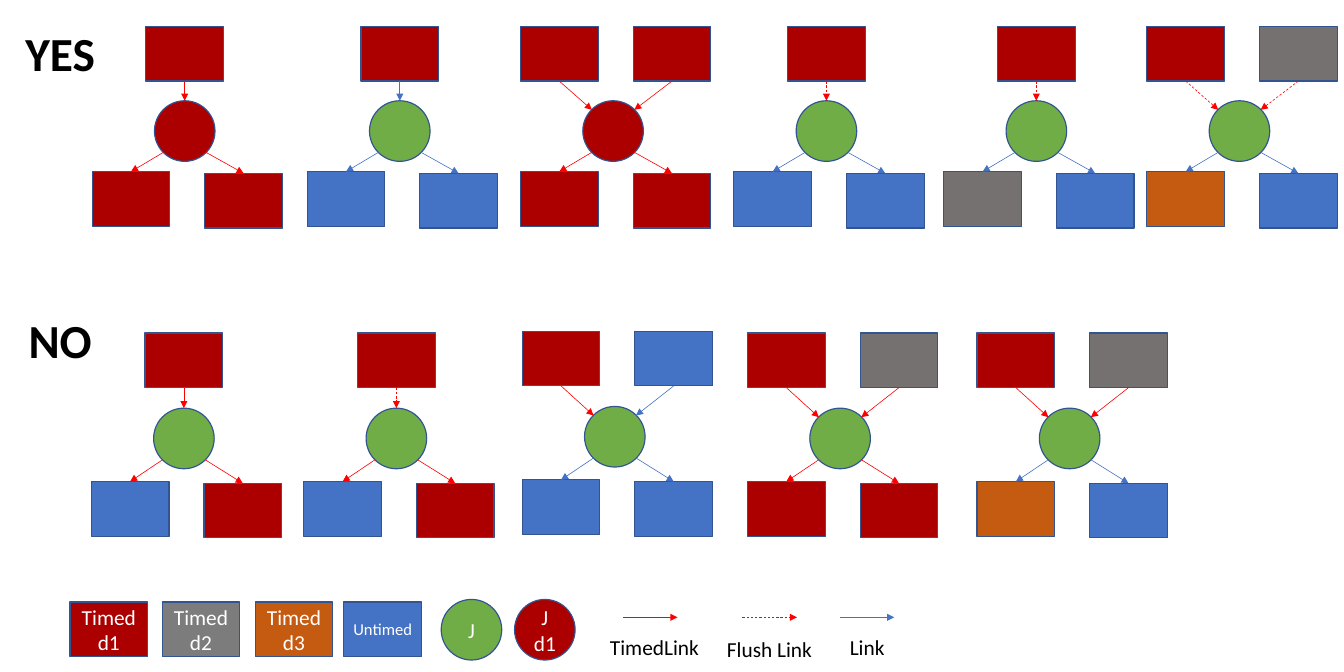
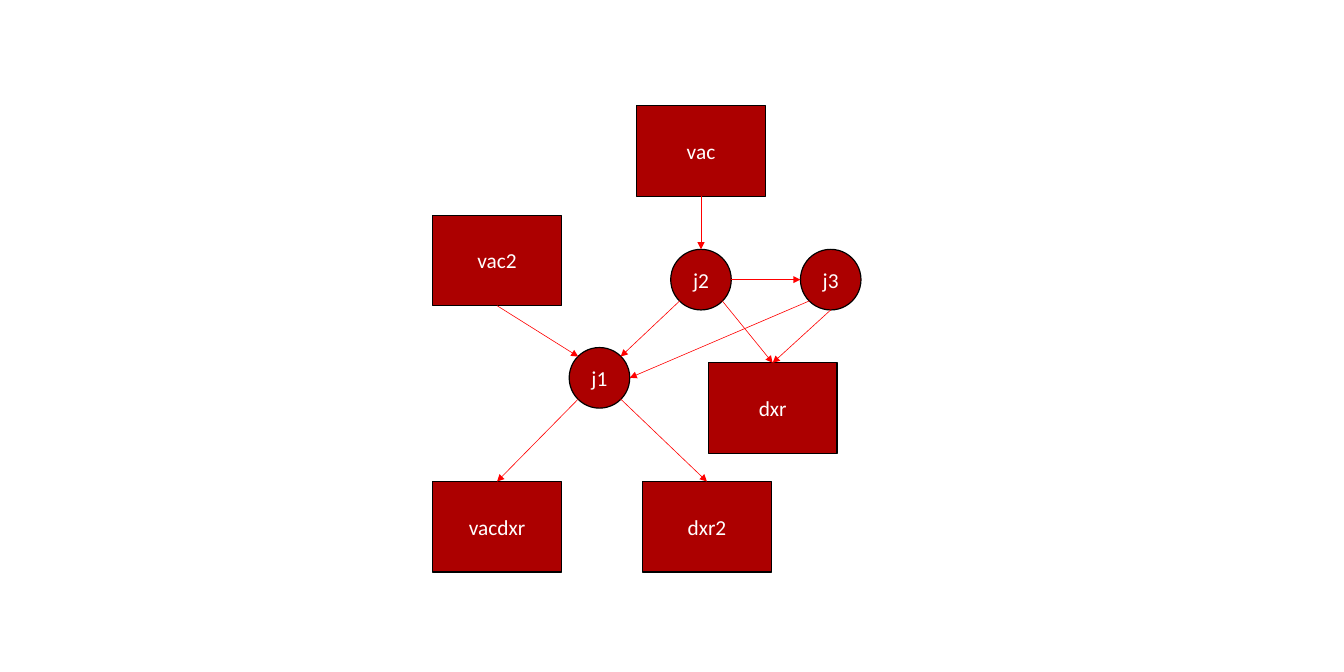
from lxml.etree import SubElement
from pptx import Presentation
from pptx.dml.color import RGBColor
from pptx.enum.dml import MSO_LINE
from pptx.enum.shapes import MSO_CONNECTOR, MSO_SHAPE
from pptx.enum.text import MSO_ANCHOR, MSO_AUTO_SIZE, PP_ALIGN
from pptx.oxml.ns import qn
from pptx.util import Inches, Pt

RED, GREY, ORANGE, BLUE, GREEN = "AC0000", "767171", "C55A11", "4472C4", "70AD47"
WHITE, BLACK, EDGE = "FFFFFF", "000000", "325491"
FONT = "Calibri"
RECT, OVAL = MSO_SHAPE.RECTANGLE, MSO_SHAPE.OVAL
STATE_W, STATE_H, JUNCTION = 0.91, 0.64, 0.71
JUNCTION_X, PAIR_STEP, RIGHT_DROP = 0.73, 1.32, 0.02
LINKS = {
    "timed": ("FF0000", MSO_LINE.SOLID),
    "flush": ("FF0000", MSO_LINE.DASH),
    "plain": (BLUE, MSO_LINE.SOLID),
}
NEAR, FAR = 0.15, 0.85
SITES = {
    RECT: [(0.5, 0), (0, 0.5), (0.5, 1), (1, 0.5)],
    OVAL: [(0.5, 0), (NEAR, NEAR), (0, 0.5), (NEAR, FAR),
           (0.5, 1), (FAR, FAR), (1, 0.5), (FAR, NEAR)],
}


def rgb(code):
    """Turn a hex string into a colour."""
    return RGBColor.from_string(code)


def write(frame, words, size, color, bold=False, align=PP_ALIGN.CENTER):
    """Write one styled paragraph into a text frame."""
    paragraph = frame.paragraphs[0]
    paragraph.alignment = align
    run = paragraph.add_run()
    run.text = words
    for attribute, value in {"name": FONT, "size": Pt(size), "bold": bold}.items():
        setattr(run.font, attribute, value)
    run.font.color.rgb = rgb(color)


def node(slide, kind, box, fill, label="", size=18, edge=EDGE):
    """Draw a state or junction in its box."""
    shape = slide.shapes.add_shape(kind, *map(Inches, box))
    shape.shadow.inherit = False
    shape.fill.solid()
    shape.fill.fore_color.rgb = rgb(fill)
    shape.line.color.rgb = rgb(edge)
    shape.line.width = Pt(1)
    if label:
        shape.text_frame.word_wrap = True
        shape.text_frame.vertical_anchor = MSO_ANCHOR.MIDDLE
        write(shape.text_frame, label, size, WHITE)
    return shape


def caption(slide, box, words, size, bold=False, wrap=True, align=PP_ALIGN.CENTER):
    """Place plain black text in its box."""
    frame = slide.shapes.add_textbox(*map(Inches, box)).text_frame
    frame.word_wrap = wrap
    frame.auto_size = MSO_AUTO_SIZE.SHAPE_TO_FIT_TEXT
    write(frame, words, size, BLACK, bold, align)


def arrow(slide, start, end, link):
    """Draw an arrow of one link type between two points."""
    color, dash = LINKS[link]
    connector = slide.shapes.add_connector(MSO_CONNECTOR.STRAIGHT, *start, *end)
    connector.line.color.rgb = rgb(color)
    connector.line.width = Pt(0.5)
    connector.line.dash_style = dash
    properties = connector._element.spPr
    SubElement(properties.find(qn("a:ln")), qn("a:tailEnd"), type="triangle")
    SubElement(properties, qn("a:effectLst"))
    return connector


def site_point(shape, site):
    """Return the point of a numbered connection site."""
    across, down = SITES[shape.auto_shape_type][site]
    return (int(shape.left + across * shape.width),
            int(shape.top + down * shape.height))


def join(slide, source, source_site, target, target_site, link="timed"):
    """Glue an arrow to connection sites of two nodes."""
    connector = arrow(slide, site_point(source, source_site),
                      site_point(target, target_site), link)
    glue = connector._element.find(".//" + qn("p:cNvCxnSpPr"))
    for tag, shape, site in (("a:stCxn", source, source_site),
                             ("a:endCxn", target, target_site)):
        SubElement(glue, qn(tag), id=str(shape.shape_id), idx=str(site))


def junction_case(slide, left, top, drops, parents, color, children):
    """Draw parents, junction and two children from a left top corner."""
    junction_drop, child_drop = drops
    junction = node(slide, OVAL, (left + JUNCTION_X, top + junction_drop,
                                  JUNCTION, JUNCTION), color)
    single = JUNCTION_X + (JUNCTION - STATE_W) / 2
    entries = [(single, 0)] if len(parents) == 1 else [(0, 1), (PAIR_STEP, 7)]
    for (offset, site), (fill, link) in zip(entries, parents):
        parent = node(slide, RECT, (left + offset, top, STATE_W, STATE_H), fill)
        join(slide, parent, 2, junction, site, link)
    for column, (fill, link) in enumerate(children):
        child = node(slide, RECT, (left + column * PAIR_STEP,
                                   top + child_drop + column * RIGHT_DROP,
                                   STATE_W, STATE_H), fill)
        join(slide, junction, 3 + 2 * column, child, 0, link)


def case_row(slide, top, title, title_top, drops, cases):
    """Draw a titled row of junction cases."""
    caption(slide, (0.07, title_top, 1.27, 0.77), title, 40, bold=True)
    for left, lift, parents, color, children in cases:
        junction_case(slide, left, top - lift, drops, parents, color, children)


def legend(slide, left, top):
    """Explain node and link types along a strip."""
    states = [(0, RED, "Timed d1", 18), (1.08, "7C7C7C", "Timed d2", 18),
              (2.17, ORANGE, "Timed d3", 18), (3.21, BLUE, "Untimed", 14)]
    for offset, fill, label, size in states:
        node(slide, RECT, (left + offset, top + 0.03, STATE_W, STATE_H),
             fill, label, size)
    for offset, fill, label in [(4.35, GREEN, "J"), (5.21, RED, "J d1")]:
        node(slide, OVAL, (left + offset, top, JUNCTION, JUNCTION), fill, label)
    links = [(6.48, "timed", "TimedLink", 6.23, 0.36, 1.26),
             (7.88, "flush", "Flush Link", 7.6, 0.38, 1.21),
             (9.02, "plain", "Link", 9.04, 0.36, 0.61)]
    for offset, link, label, label_x, label_y, width in links:
        start, end = left + offset, left + offset + 0.64
        level = Inches(top + 0.21)
        arrow(slide, (Inches(start), level), (Inches(end), level), link)
        caption(slide, (left + label_x, top + label_y, width, 0.4), label, 18,
                wrap=False, align=PP_ALIGN.LEFT)


def network(slide, left, top):
    """Draw the connected vacuum states from a left top corner."""
    states = {"vac": (2.39, 0), "vac2": (0, 1.28), "dxr": (3.23, 3.01),
              "vacdxr": (0, 4.4), "dxr2": (2.46, 4.4)}
    junctions = {"j1": (1.6, 2.83), "j2": (2.79, 1.68), "j3": (4.31, 1.68)}
    nodes = {}
    for kind, group, width, height in ((RECT, states, 1.51, 1.06),
                                       (OVAL, junctions, JUNCTION, JUNCTION)):
        for label, (x, y) in group.items():
            nodes[label] = node(slide, kind, (left + x, top + y, width, height),
                                RED, label, edge=BLACK)
    for source, source_site, target, target_site in [
            ("vac", 2, "j2", 0), ("vac2", 2, "j1", 1), ("j2", 3, "j1", 7),
            ("j2", 5, "dxr", 0), ("j2", 6, "j3", 2), ("j3", 3, "j1", 6),
            ("j3", 4, "dxr", 0), ("j1", 3, "vacdxr", 0), ("j1", 5, "dxr2", 0)]:
        join(slide, nodes[source], source_site, nodes[target], target_site)


RED_TIMED, RED_FLUSH, RED_PLAIN = (RED, "timed"), (RED, "flush"), (RED, "plain")
BLUE_TIMED, BLUE_PLAIN = (BLUE, "timed"), (BLUE, "plain")
GREY_TIMED, GREY_FLUSH, GREY_PLAIN = (GREY, "timed"), (GREY, "flush"), (GREY, "plain")
ORANGE_PLAIN = (ORANGE, "plain")

YES_CASES = [
    (1.08, 0, [RED_TIMED], RED, [RED_TIMED, RED_TIMED]),
    (3.6, 0, [RED_PLAIN], GREEN, [BLUE_PLAIN, BLUE_PLAIN]),
    (6.1, 0, [RED_TIMED, RED_TIMED], RED, [RED_TIMED, RED_TIMED]),
    (8.6, 0, [RED_FLUSH], GREEN, [BLUE_PLAIN, BLUE_PLAIN]),
    (11.06, 0, [RED_FLUSH], GREEN, [GREY_PLAIN, BLUE_PLAIN]),
    (13.44, 0, [RED_FLUSH, GREY_FLUSH], GREEN, [ORANGE_PLAIN, BLUE_PLAIN]),
]
NO_CASES = [
    (1.07, 0, [RED_TIMED], GREEN, [BLUE_TIMED, RED_TIMED]),
    (3.56, 0, [RED_FLUSH], GREEN, [BLUE_TIMED, RED_TIMED]),
    (6.12, 0.02, [RED_TIMED, BLUE_PLAIN], GREEN, [BLUE_PLAIN, BLUE_PLAIN]),
    (8.76, 0, [RED_TIMED, GREY_TIMED], GREEN, [RED_TIMED, RED_TIMED]),
    (11.45, 0, [RED_TIMED, GREY_TIMED], GREEN, [ORANGE_PLAIN, BLUE_PLAIN]),
]

presentation = Presentation()
presentation.slide_width, presentation.slide_height = Inches(15.75), Inches(7.87)
blank = presentation.slide_layouts[6]

rules = presentation.slides.add_slide(blank)
case_row(rules, 0.31, "YES", 0.23, (0.87, 1.7), YES_CASES)
case_row(rules, 3.9, "NO", 3.59, (0.88, 1.74), NO_CASES)
legend(rules, 0.82, 7.02)

network(presentation.slides.add_slide(blank), 5.07, 1.24)

presentation.save("out.pptx")
